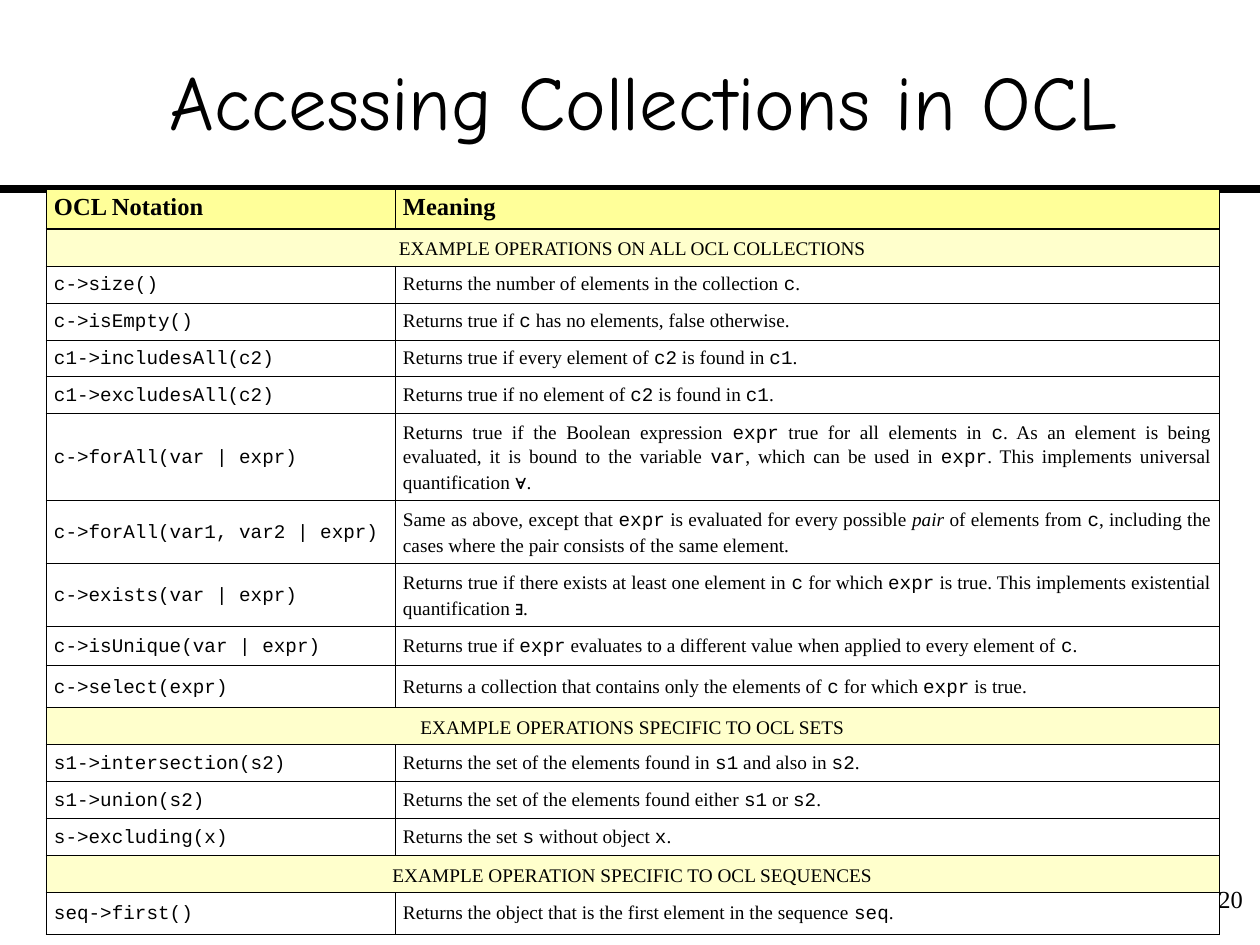
from lxml import etree
from pptx import Presentation
from pptx.dml.color import RGBColor
from pptx.enum.shapes import MSO_CONNECTOR
from pptx.enum.text import MSO_ANCHOR, PP_ALIGN
from pptx.oxml.ns import qn
from pptx.util import Pt

STRAIGHT = MSO_CONNECTOR.STRAIGHT
MIDDLE, TOP = MSO_ANCHOR.MIDDLE, MSO_ANCHOR.TOP
CENTER, RIGHT, JUSTIFY = PP_ALIGN.CENTER, PP_ALIGN.RIGHT, PP_ALIGN.JUSTIFY
SERIF, MONO, HAND, SYMBOL = "Times New Roman", "Courier New", "Comic Neue", "Arial"
BLACK, WHITE, HEAD, SECTION = "000000", "FFFFFF", "FFFF99", "FFFFCC"
PX_PER_INCH = 126

# Text between backticks is code, apart from these special words
MARKED = {"pair": {"italic": True}, "∀": {"font": SYMBOL}, "∃": {"font": SYMBOL}}

# (notation, meaning, row height); a section row has no meaning
ROWS = [
    ("OCL Notation", "Meaning", 40),
    ("EXAMPLE OPERATIONS ON ALL OCL COLLECTIONS", None, 37),
    ("`c->size()`", "Returns the number of elements in the collection `c`.", 37),
    ("`c->isEmpty()`", "Returns true if `c` has no elements, false otherwise.", 37),
    ("`c1->includesAll(c2)`", "Returns true if every element of `c2` is found in `c1`.", 37),
    ("`c1->excludesAll(c2)`", "Returns true if no element of `c2` is found in `c1`.", 37),
    ("`c->forAll(var | expr)`",
     "Returns true if the Boolean expression `expr` true for all elements in `c`. "
     "As an element is being evaluated, it is bound to the variable `var`, which can "
     "be used in `expr`. This implements universal quantification `∀`.", 87),
    ("`c->forAll(var1, var2 | expr)`",
     "Same as above, except that `expr` is evaluated for every possible `pair` of "
     "elements from `c`, including the cases where the pair consists of the same "
     "element.", 63),
    ("`c->exists(var | expr)`",
     "Returns true if there exists at least one element in `c` for which `expr` is "
     "true. This implements existential quantification `∃`.", 63),
    ("`c->isUnique(var | expr)`",
     "Returns true if `expr` evaluates to a different value when applied to every "
     "element of `c`.", 39),
    ("`c->select(expr)`",
     "Returns a collection that contains only the elements of `c` for which `expr` "
     "is true.", 42),
    ("EXAMPLE OPERATIONS SPECIFIC TO OCL SETS", None, 37),
    ("`s1->intersection(s2)`",
     "Returns the set of the elements found in `s1` and also in `s2`.", 37),
    ("`s1->union(s2)`", "Returns the set of the elements found either `s1` or `s2`.", 37),
    ("`s->excluding(x)`", "Returns the set `s` without object `x`.", 37),
    ("EXAMPLE OPERATION SPECIFIC TO OCL SEQUENCES", None, 37),
    ("`seq->first()`",
     "Returns the object that is the first element in the sequence `seq`.", 42),
]


def px(n):
    return round(n * 914400 / PX_PER_INCH)


def rgb(color):
    return RGBColor.from_string(color)


def write(tf, text, size=11, font=SERIF, color=BLACK, bold=False, align=JUSTIFY,
          leading=None):
    """Fill the first paragraph, one run for each plain or marked piece."""
    p = tf.paragraphs[0]
    p.alignment = align
    if leading:
        p.line_spacing = Pt(leading)
    for i, piece in enumerate(text.split("`")):
        if not piece:
            continue
        style = MARKED.get(piece, {"font": MONO}) if i % 2 else {}
        r = p.add_run()
        r.text = piece
        r.font.size = Pt(size)
        r.font.name = style.get("font", font)
        r.font.bold = bold
        r.font.italic = style.get("italic", False)
        r.font.color.rgb = rgb(color)


class Deck:
    def __init__(self, width, height):
        self.prs = Presentation()
        self.prs.slide_width, self.prs.slide_height = px(width), px(height)
        self.s = self.prs.slides.add_slide(self.prs.slide_layouts[5])

    def frame(self, tf, anchor, side, edge):
        tf.word_wrap = True
        tf.vertical_anchor = anchor
        tf.margin_left = tf.margin_right = px(side)
        tf.margin_top = tf.margin_bottom = px(edge)

    def title(self, text, x, y, w, h):
        sp = self.s.shapes.title
        sp.left, sp.top, sp.width, sp.height = px(x), px(y), px(w), px(h)
        self.frame(sp.text_frame, MIDDLE, 0, 6)
        write(sp.text_frame, text, size=44, font=HAND, align=CENTER)

    def text(self, text, x, y, w, h, **fmt):
        sp = self.s.shapes.add_textbox(px(x), px(y), px(w), px(h))
        self.frame(sp.text_frame, TOP, 13, 6)
        write(sp.text_frame, text, **fmt)

    def line(self, x1, y1, x2, y2, weight):
        cx = self.s.shapes.add_connector(STRAIGHT, px(x1), px(y1), px(x2), px(y2))
        cx.line.color.rgb = rgb(BLACK)
        cx.line.width = Pt(weight)
        etree.SubElement(cx._element.spPr, qn("a:effectLst"))

    def borders(self, cell, **weights):
        tcPr = cell._tc.get_or_add_tcPr()
        for side in "LRTB":
            ln = etree.SubElement(tcPr, qn("a:ln" + side),
                                  w=str(Pt(weights.get(side, 0.45))))
            fill = etree.SubElement(ln, qn("a:solidFill"))
            etree.SubElement(fill, qn("a:srgbClr"), val=BLACK)

    def cell(self, cell, text, fill, weights, **fmt):
        self.borders(cell, **weights)
        cell.fill.solid()
        cell.fill.fore_color.rgb = rgb(fill)
        cell.vertical_anchor = MIDDLE
        cell.margin_left = cell.margin_right = px(8)
        cell.margin_top = cell.margin_bottom = px(6)
        write(cell.text_frame, text, leading=14, **fmt)

    def table(self, rows, x, y, widths):
        height = sum(row[2] for row in rows)
        table = self.s.shapes.add_table(len(rows), len(widths), px(x), px(y),
                                        px(sum(widths)), px(height)).table
        table.first_row = table.horz_banding = False
        for col, w in zip(table.columns, widths):
            col.width = px(w)
        for i, (notation, meaning, h) in enumerate(rows):
            table.rows[i].height = px(h)
            fill, fmt = WHITE, {}
            weights = {"T": 0.75} if i == 1 else {}
            if i == 0:
                fill, fmt, weights = HEAD, {"size": 14, "bold": True}, {"B": 0.75}
            elif meaning is None:
                fill, fmt = SECTION, {"align": CENTER}
                table.cell(i, 0).merge(table.cell(i, 1))
            for j, text in enumerate((notation, meaning or "")):
                self.cell(table.cell(i, j), text, fill, weights, **fmt)


def main():
    deck = Deck(1260, 945)

    # Heading and the rule below it
    deck.line(0, 189, 1260, 189, 4.5)
    deck.title("Accessing Collections in OCL", 53, 21, 1182, 158)

    # Page number
    deck.text("20", 1178, 878, 78, 63, size=14, align=RIGHT)

    # Operations
    deck.table(ROWS, 46, 189, (349, 824))

    deck.prs.save("out.pptx")


if __name__ == "__main__":
    main()
